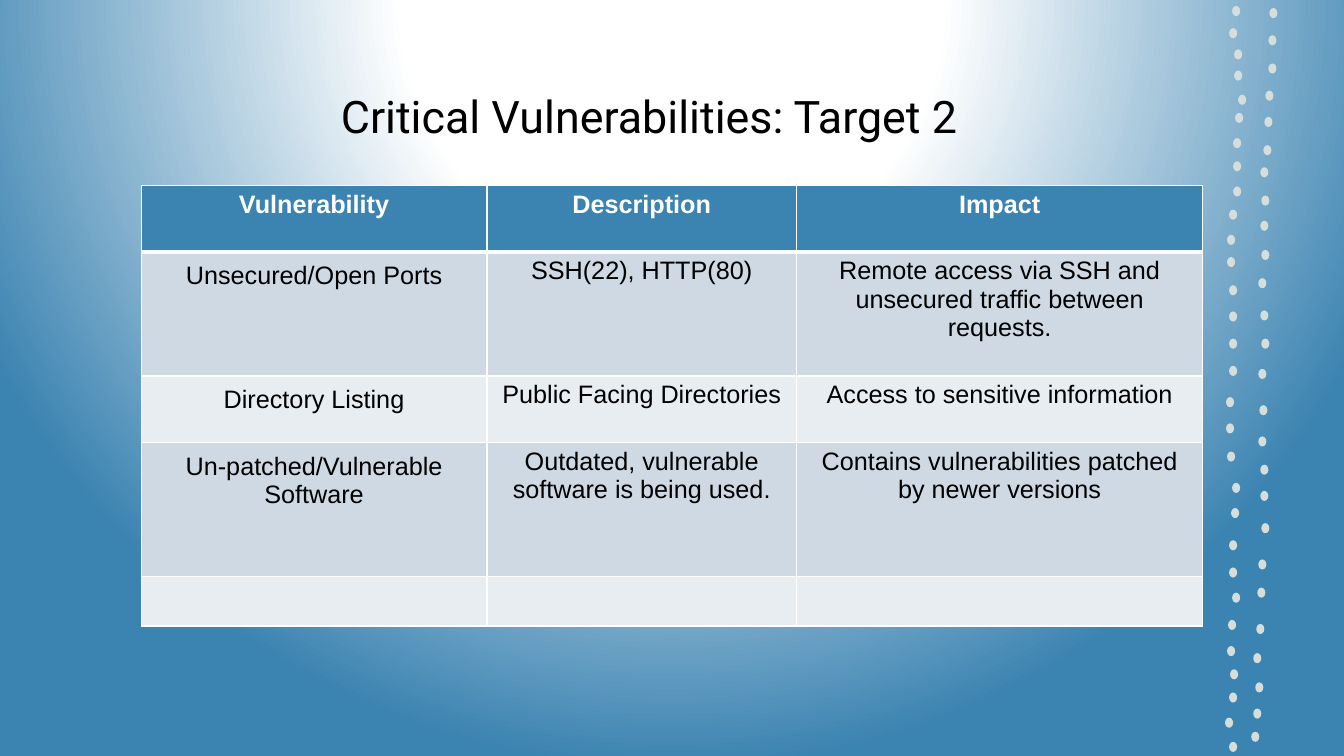
import lxml.etree
import pptx
import pptx.dml.color
import pptx.enum.shapes
import pptx.enum.text
import pptx.oxml
import pptx.oxml.ns
import pptx.util
from pptx.util import Inches

WHITE = pptx.dml.color.RGBColor(0xFF, 0xFF, 0xFF)
BLACK = pptx.dml.color.RGBColor(0x00, 0x00, 0x00)
BLUE = pptx.dml.color.RGBColor(0x3B, 0x83, 0xB1)
BAND_DARK = pptx.dml.color.RGBColor(0xCE, 0xD9, 0xE4)
BAND_LIGHT = pptx.dml.color.RGBColor(0xE8, 0xED, 0xF2)
DOT_COLOR = pptx.dml.color.RGBColor(0xD5, 0xDE, 0xDB)

DOT_WIDTH, DOT_HEIGHT = 0.08, 0.1
LEFT_DOTS = [
    (12.26, 0.11), (12.23, 0.33), (12.28, 0.54), (12.28, 0.75), (12.32, 0.99),
    (12.29, 1.17), (12.27, 1.42), (12.27, 1.65), (12.27, 1.9), (12.23, 2.13),
    (12.21, 2.38), (12.21, 2.6), (12.23, 2.88), (12.23, 3.14), (12.23, 3.41),
    (12.23, 3.68), (12.2, 3.99), (12.2, 4.25), (12.21, 4.53), (12.26, 4.84),
    (12.25, 5.09), (12.23, 5.41), (12.23, 5.68), (12.26, 5.93), (12.22, 6.2),
    (12.21, 6.46), (12.24, 6.69), (12.23, 6.92), (12.19, 7.17), (12.23, 7.41),
]
RIGHT_DOTS = [
    (12.63, 0.13), (12.62, 0.4), (12.62, 0.68), (12.59, 0.95), (12.58, 1.21),
    (12.57, 1.49), (12.54, 1.71), (12.55, 1.99), (12.54, 2.24), (12.55, 2.53),
    (12.52, 2.81), (12.54, 3.13), (12.55, 3.41), (12.52, 3.71), (12.53, 4.07),
    (12.52, 4.38), (12.54, 4.66), (12.54, 4.92), (12.55, 5.24), (12.52, 5.6),
    (12.51, 5.88), (12.5, 6.24), (12.47, 6.53), (12.49, 6.82), (12.47, 7.08),
    (12.45, 7.31),
]

COLUMN_WIDTHS = [3.43, 3.07, 4.03]
ROW_HEIGHTS = [0.66, 1.23, 0.66, 1.33, 0.49]
VULNERABILITIES = [
    ["Vulnerability", "Description", "Impact"],
    ["Unsecured/Open Ports", "SSH(22), HTTP(80)",
     "Remote access via SSH and unsecured traffic between requests."],
    ["Directory Listing", "Public Facing Directories", "Access to sensitive information"],
    ["Un-patched/Vulnerable Software", "Outdated, vulnerable software is being used.",
     "Contains vulnerabilities patched by newer versions"],
    ["", "", ""],
]


def set_background(slide):
    """Fill the background with a circular gradient centred above the slide."""
    slide.background.fill.solid()
    properties = slide._element.find(".//" + pptx.oxml.ns.qn("p:bgPr"))
    stops = "".join(
        f'<a:gs pos="{position * 1000}"><a:srgbClr val="{color}"/></a:gs>'
        for position, color in [(0, WHITE), (35, WHITE), (100, BLUE)]
    )
    gradient = pptx.oxml.parse_xml(
        f'<a:gradFill {pptx.oxml.ns.nsdecls("a")} rotWithShape="1"><a:gsLst>{stops}</a:gsLst>'
        '<a:path path="circle"><a:fillToRect l="50000" t="-80000" r="50000" b="180000"/>'
        "</a:path></a:gradFill>"
    )
    properties.replace(properties[0], gradient)


def add_dot(slide, center_x, center_y):
    """Add one small decorative dot around its centre."""
    dot = slide.shapes.add_shape(
        pptx.enum.shapes.MSO_SHAPE.OVAL,
        Inches(center_x - DOT_WIDTH / 2), Inches(center_y - DOT_HEIGHT / 2),
        Inches(DOT_WIDTH), Inches(DOT_HEIGHT),
    )
    dot.shadow.inherit = False
    dot.fill.solid()
    dot.fill.fore_color.rgb = DOT_COLOR
    dot.line.fill.background()


def format_text(text_frame, font_name, size, color, bold=False):
    """Centre the paragraphs and format their runs."""
    for paragraph in text_frame.paragraphs:
        paragraph.alignment = pptx.enum.text.PP_ALIGN.CENTER
        for run in paragraph.runs:
            run.font.name = font_name
            run.font.size = pptx.util.Pt(size)
            run.font.color.rgb = color
            run.font.bold = bold


def set_title(slide, text):
    """Place and format the title placeholder."""
    title = slide.shapes.title
    title.left, title.top = Inches(1.17), Inches(0.55)
    title.width, title.height = Inches(10.54), Inches(1.2)
    title.text_frame.text = text
    title.text_frame.vertical_anchor = pptx.enum.text.MSO_ANCHOR.MIDDLE
    format_text(title.text_frame, "Roboto", 32, BLACK)


def set_borders(cell, top, bottom):
    """Draw white borders, with the top and bottom widths in points."""
    properties = cell._tc.get_or_add_tcPr()
    widths = {"lnL": 1, "lnR": 1, "lnT": top, "lnB": bottom}
    for index, (side, width) in enumerate(widths.items()):
        border = pptx.oxml.parse_xml(
            f'<a:{side} {pptx.oxml.ns.nsdecls("a")} w="{pptx.util.Pt(width)}">'
            f'<a:solidFill><a:srgbClr val="{WHITE}"/></a:solidFill></a:{side}>'
        )
        properties.insert(index, border)


def format_cell(cell, row, column):
    """Format a table cell by its row and column."""
    header = row == 0
    cell.fill.solid()
    cell.fill.fore_color.rgb = BLUE if header else (BAND_LIGHT, BAND_DARK)[row % 2]
    format_text(cell.text_frame, "Arial", 18, WHITE if header else BLACK, header)
    if column == 0 and row in (1, 2, 3):
        cell.margin_top = cell.margin_bottom = Inches(0.1)
    set_borders(cell, top=3 if row == 1 else 1, bottom=3 if header else 1)


def add_vulnerability_table(slide):
    """Add the table of vulnerabilities."""
    table = slide.shapes.add_table(
        len(ROW_HEIGHTS), len(COLUMN_WIDTHS), Inches(1.4), Inches(1.84),
        Inches(sum(COLUMN_WIDTHS)), Inches(sum(ROW_HEIGHTS)),
    ).table
    for column, width in zip(table.columns, COLUMN_WIDTHS):
        column.width = Inches(width)
    for row, height in zip(table.rows, ROW_HEIGHTS):
        row.height = Inches(height)
    for row, texts in enumerate(VULNERABILITIES):
        for column, text in enumerate(texts):
            cell = table.cell(row, column)
            cell.text_frame.text = text
            format_cell(cell, row, column)


def main():
    """Build the slide and save it."""
    presentation = pptx.Presentation()
    presentation.slide_width, presentation.slide_height = Inches(13.33), Inches(7.5)
    slide = presentation.slides.add_slide(presentation.slide_layouts[5])
    set_background(slide)
    for center_x, center_y in LEFT_DOTS + RIGHT_DOTS:
        add_dot(slide, center_x, center_y)
    set_title(slide, "Critical Vulnerabilities: Target 2")
    add_vulnerability_table(slide)
    presentation.save("out.pptx")


if __name__ == "__main__":
    main()
